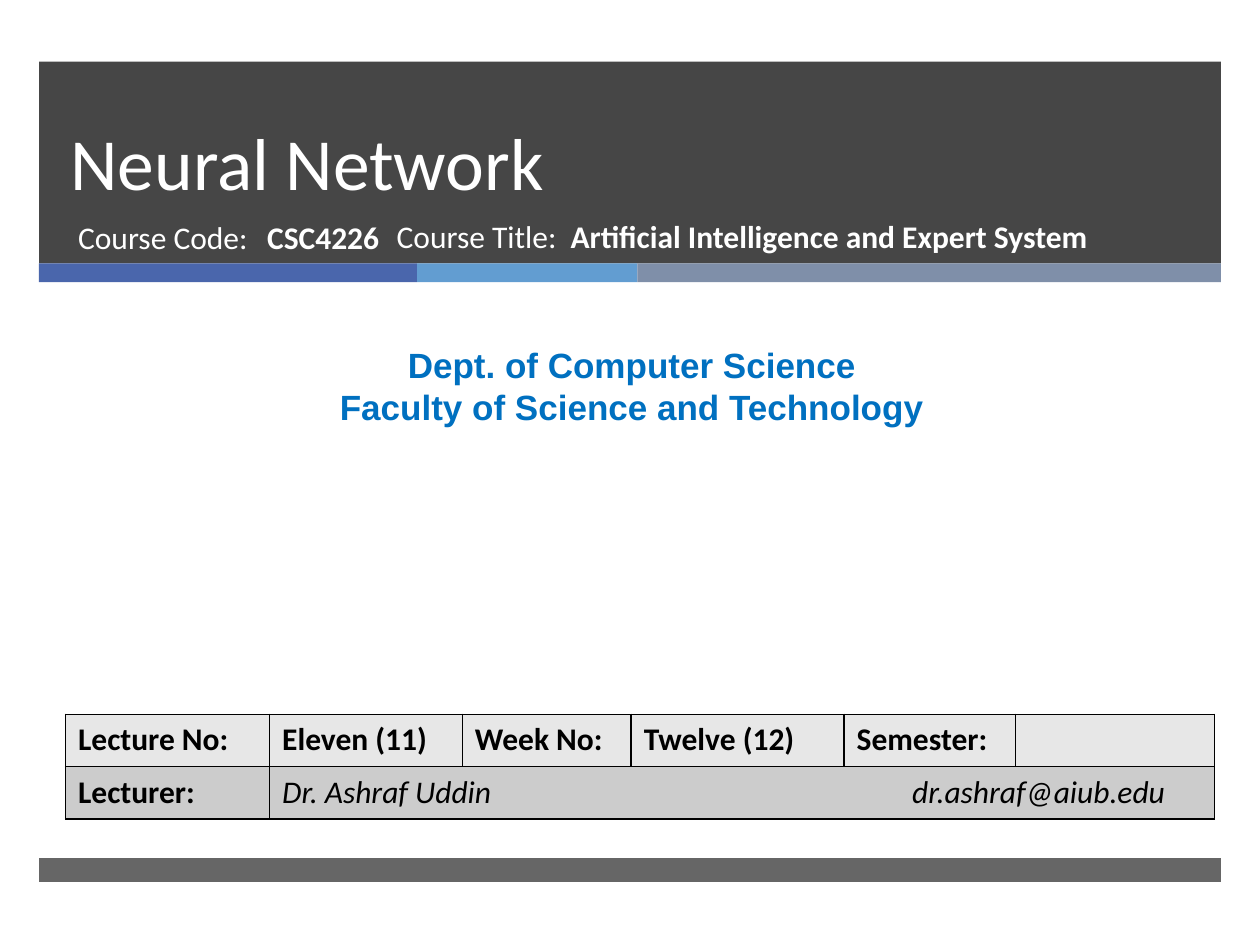
"""Build the title slide of the Neural Network lecture."""
from dataclasses import dataclass

from lxml import etree
from pptx import Presentation
from pptx.dml.color import RGBColor
from pptx.enum.shapes import MSO_SHAPE
from pptx.enum.text import MSO_ANCHOR, MSO_AUTO_SIZE, PP_ALIGN
from pptx.oxml.ns import qn
from pptx.util import Inches, Pt

RECTANGLE = MSO_SHAPE.RECTANGLE
TOP, BOTTOM = MSO_ANCHOR.TOP, MSO_ANCHOR.BOTTOM
LEFT, CENTER = PP_ALIGN.LEFT, PP_ALIGN.CENTER
NO_AUTOFIT = MSO_AUTO_SIZE.NONE

WHITE, BLACK, CHARCOAL, BLUE = "FFFFFF", "000000", "262626", "0070C0"
BAND_LEFT, BAND_WIDTH = 0.31, 9.38
COLUMN_WIDTHS = (1.62, 1.53, 1.34, 1.69, 1.36, 1.58)
ROW_HEIGHT = 0.415
ROW_FILLS = ("E7E7E7", "CCCCCC")
ROWS = (
    ("Lecture No:", "Eleven (11)", "Week No:", "Twelve (12)", "Semester:", ""),
    ("Lecturer:", "Dr. Ashraf Uddin\tdr.ashraf@aiub.edu"),
)


@dataclass(frozen=True)
class Band:
    """A filled strip across the slide."""
    left: float
    top: float
    width: float
    height: float
    fill: str
    opacity: int = 100


@dataclass(frozen=True)
class Style:
    """The look of a run of text."""
    size: float
    color: str
    name: str = "Calibri"
    bold: bool = False
    italic: bool = False


BANDS = (
    Band(BAND_LEFT, 0.49, BAND_WIDTH, 1.6, CHARCOAL, 85),
    Band(BAND_LEFT, 2.09, 3, 0.15, "4A66AC"),
    Band(3.31, 2.09, 1.75, 0.15, "629DD1"),
    Band(5.06, 2.09, 4.63, 0.15, "7F8FA9"),
    Band(BAND_LEFT, 6.81, BAND_WIDTH, 0.19, CHARCOAL, 70),
)
LABEL = Style(18, WHITE)
VALUE = Style(18, WHITE, bold=True)


def color(value: str) -> RGBColor:
    """Turn a hex string into a colour."""
    return RGBColor.from_string(value)


def add_band(slide, band: Band) -> None:
    """Draw one borderless strip."""
    shape = slide.shapes.add_shape(
        RECTANGLE, *map(Inches, (band.left, band.top, band.width, band.height)))
    shape.shadow.inherit = False
    shape.line.fill.background()
    shape.fill.solid()
    shape.fill.fore_color.rgb = color(band.fill)
    if band.opacity < 100:
        hex_color = shape._element.spPr.find(f".//{qn('a:srgbClr')}")
        etree.SubElement(hex_color, qn("a:alpha"), val=str(band.opacity * 1000))


def add_run(paragraph, text: str, style: Style) -> None:
    """Append styled text to a paragraph."""
    run = paragraph.add_run()
    run.text = text
    values = {"size": Pt(style.size), "name": style.name,
              "bold": style.bold, "italic": style.italic}
    for attribute, value in values.items():
        setattr(run.font, attribute, value)
    run.font.color.rgb = color(style.color)


def add_tab_stop(paragraph, position: float) -> None:
    """Set one left tab stop."""
    tabs = etree.SubElement(paragraph._p.get_or_add_pPr(), qn("a:tabLst"))
    etree.SubElement(tabs, qn("a:tab"), pos=str(Inches(position)), algn="l")


def place(shape, left: float, top: float, width: float, height: float,
          anchor=TOP, alignment=LEFT):
    """Position a text shape and return its first paragraph."""
    box = {"left": left, "top": top, "width": width, "height": height}
    for attribute, value in box.items():
        setattr(shape, attribute, Inches(value))
    frame = shape.text_frame
    formats = {"word_wrap": True, "auto_size": NO_AUTOFIT, "vertical_anchor": anchor}
    for attribute, value in formats.items():
        setattr(frame, attribute, value)
    paragraph = frame.paragraphs[0]
    paragraph.alignment = alignment
    return paragraph


def add_course_line(paragraph, label: str, value: str, tab: float) -> None:
    """Write a label and its bold value at a tab stop."""
    paragraph.space_before = Pt(0)
    add_tab_stop(paragraph, tab)
    add_run(paragraph, f"{label}\t", LABEL)
    add_run(paragraph, value, VALUE)


def format_cell(cell, fill: str) -> None:
    """Give a cell thin black borders and a plain fill."""
    properties = cell._tc.get_or_add_tcPr()
    for side in ("lnL", "lnR", "lnT", "lnB"):
        line = etree.SubElement(properties, qn(f"a:{side}"), w=str(Pt(1)))
        solid = etree.SubElement(line, qn("a:solidFill"))
        etree.SubElement(solid, qn("a:srgbClr"), val=BLACK)
    cell.fill.solid()
    cell.fill.fore_color.rgb = color(fill)


def add_lecture_table(slide) -> None:
    """Draw the table of lecture details."""
    table = slide.shapes.add_table(
        len(ROWS), len(COLUMN_WIDTHS), Inches(0.52), Inches(5.67),
        Inches(sum(COLUMN_WIDTHS)), Inches(ROW_HEIGHT * len(ROWS))).table
    for column, width in zip(table.columns, COLUMN_WIDTHS):
        column.width = Inches(width)
    for row, fill in zip(table.rows, ROW_FILLS):
        row.height = Inches(ROW_HEIGHT)
        for cell in row.cells:
            format_cell(cell, fill)
    table.cell(1, 1).merge(table.cell(1, len(COLUMN_WIDTHS) - 1))
    add_tab_stop(table.cell(1, 1).text_frame.paragraphs[0], 5)
    for row_index, texts in enumerate(ROWS):
        for column_index, text in enumerate(texts):
            is_lecturer = (row_index, column_index) == (1, 1)
            style = Style(18, BLACK, bold=not is_lecturer, italic=is_lecturer)
            if text:
                cell = table.cell(row_index, column_index)
                add_run(cell.text_frame.paragraphs[0], text, style)


def main() -> None:
    """Build and save the presentation."""
    presentation = Presentation()
    presentation.slide_width, presentation.slide_height = Inches(10), Inches(7.5)
    slide = presentation.slides.add_slide(presentation.slide_layouts[0])
    title, subtitle = slide.placeholders
    for band in BANDS:
        add_band(slide, band)
    for placeholder in (title, subtitle):
        slide.shapes._spTree.append(placeholder._element)

    heading = place(title, 0.46, 0.49, 8.54, 1.19, anchor=BOTTOM)
    heading.line_spacing = Pt(46)
    add_run(heading, "Neural Network", Style(42, WHITE))
    code = place(subtitle, 0.52, 1.68, 3.05, 0.53)
    add_course_line(code, "Course Code:", "CSC4226", 1.46)

    department_box = slide.shapes.add_textbox(0, 0, 0, 0)
    department = place(department_box, 0.08, 2.68, 9.87, 0.77, alignment=CENTER)
    faculty = department_box.text_frame.add_paragraph()
    faculty.alignment = CENTER
    heading_style = Style(20, BLUE, "Arial", bold=True)
    add_run(department, "Dept. of Computer Science", heading_style)
    add_run(faculty, "Faculty of Science and Technology", heading_style)

    add_lecture_table(slide)
    course = place(slide.shapes.add_textbox(0, 0, 0, 0), 3.05, 1.67, 5.72, 0.53)
    add_course_line(course, "Course Title:", "Artificial Intelligence and Expert System", 1.38)
    presentation.save("out.pptx")


if __name__ == "__main__":
    main()
